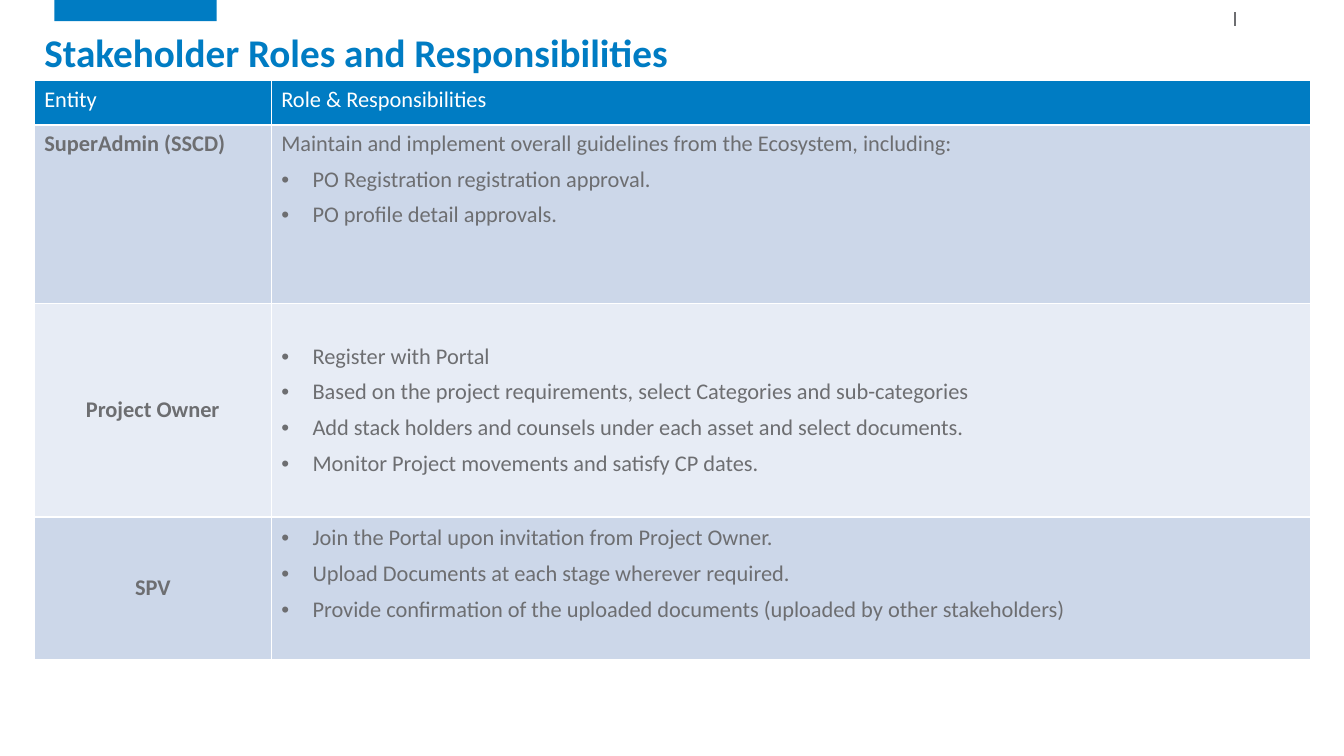
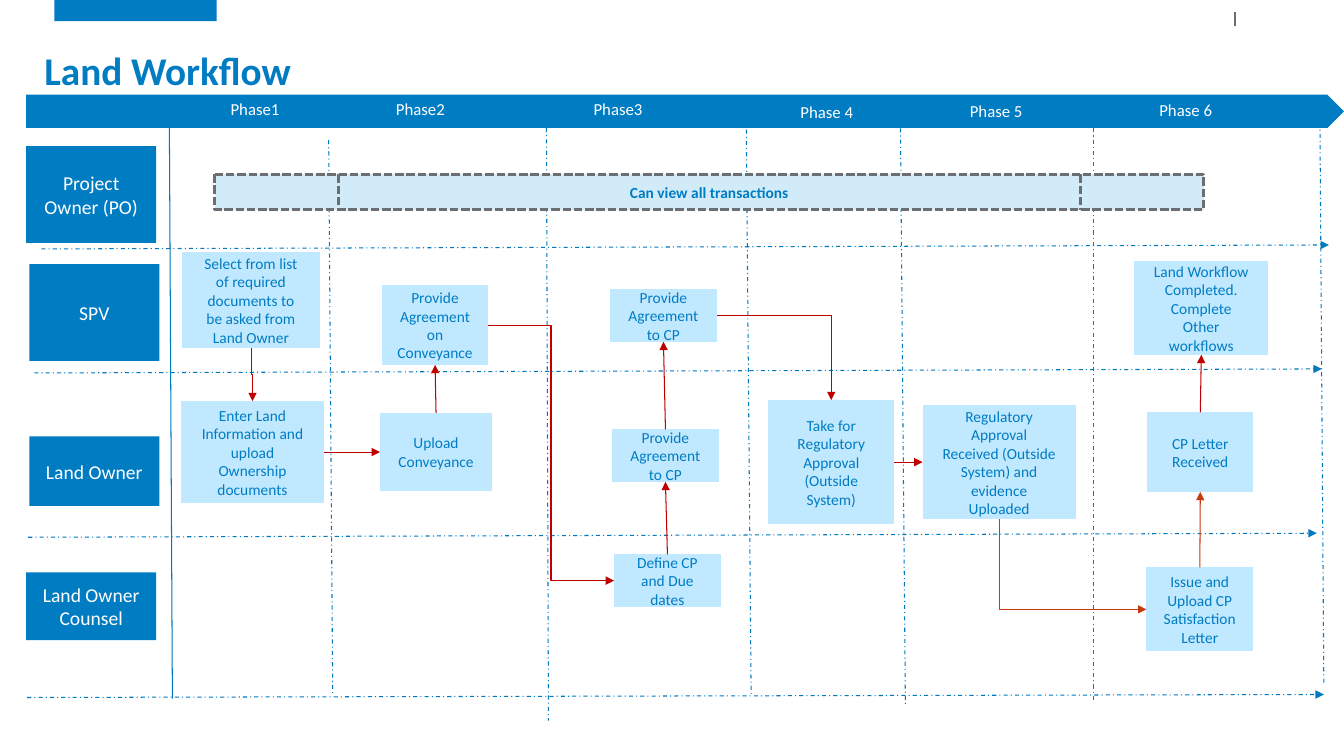
from pptx import Presentation
from pptx import util as u
from pptx.dml.color import RGBColor
from pptx.enum import dml, shapes, text
from pptx.oxml.ns import qn
from lxml import etree

COLORS = {"blue": "007CC3", "rule": "0079BF", "gray": "6D6E71", "white": "FFFFFF",
          "odd": "CCD7E9", "even": "E7ECF5", "step": "C0E8FF", "view": "D1ECF8",
          "red": "C00000", "rust": "C73A0D"}
FONT = "Calibri"
RECT = shapes.MSO_SHAPE.RECTANGLE
PROCESS = shapes.MSO_SHAPE.FLOWCHART_PREDEFINED_PROCESS
STRAIGHT, ELBOW = shapes.MSO_CONNECTOR.STRAIGHT, shapes.MSO_CONNECTOR.ELBOW
DASH_DOT, SHORT_DASH = dml.MSO_LINE.DASH_DOT, dml.MSO_LINE.SQUARE_DOT
MIDDLE, CENTER = text.MSO_ANCHOR.MIDDLE, text.PP_ALIGN.CENTER
TOP, LEFT, BOTTOM, RIGHT = range(4)

ROLE_HEADER = ("Entity", "Role & Responsibilities")
ROLES = [
    {"entity": "SuperAdmin (SSCD)", "height": 1.77, "centered": False, "space_below": 0.05,
     "intro": ["Maintain and implement overall guidelines from the Ecosystem, including:"],
     "duties": ["PO Registration registration approval.", "PO profile detail approvals."]},
    {"entity": "Project Owner", "height": 2.12, "centered": True, "space_below": 0.05,
     "intro": [],
     "duties": ["Register with Portal",
                "Based on the project requirements, select Categories and sub-categories",
                "Add stack holders and counsels under each asset and select documents.",
                "Monitor Project movements and satisfy CP dates."]},
    {"entity": "SPV", "height": 1.41, "centered": True, "space_below": 0.33,
     "intro": [],
     "duties": ["Join the Portal upon invitation from Project Owner.",
                "Upload Documents at each stage wherever required.",
                "Provide confirmation of the uploaded documents (uploaded by other stakeholders)"]},
]
ROLE_WIDTHS = (2.35, 10.31)
HEADER_HEIGHT = 0.44

PHASES = [("Phase1", 2.04, 0.99), ("Phase2", 3.68, 0.99), ("Phase3", 5.64, 0.99),
          ("Phase 4", 7.71, 1.02), ("Phase 5", 9.39, 1.01), ("Phase 6", 11.27, 1)]
OWNERS = [("Project Owner (PO)", 0.26, 1.45, 1.29, 0.96), ("SPV", 0.29, 2.62, 1.29, 0.96),
          ("Land Owner", 0.29, 4.33, 1.29, 0.69),
          ("Land Owner Counsel", 0.26, 5.68, 1.29, 0.67)]
LANE_RULES = [(0.41, 2.47, 13.18, 2.43), (0.34, 3.7, 13.11, 3.66),
              (0.28, 5.33, 13.06, 5.29), (0.27, 6.92, 13.13, 6.89)]
PHASE_RULES = [(3.26, 1.39, 3.3, 6.9), (5.42, 1.27, 5.44, 7.15), (7.4, 1.06, 7.45, 6.9),
               (8.93, 1.16, 8.98, 7.01), (10.85, 1.16, 10.85, 6.96),
               (13.09, 0.99, 13.13, 6.79)]
OWNER_RULE = (1.68, 1.27, 1.71, 6.93)
STEPS = {
    "select": ("Select from list of required documents to be asked from Land Owner",
               1.81, 2.5, 1.36, 0.95),
    "enter": ("Enter Land Information and upload Ownership documents", 1.8, 3.98, 1.41, 1.01),
    "upload": ("Upload Conveyance", 3.77, 4.1, 1.11, 0.77),
    "conveyance": ("Provide Agreement on Conveyance", 3.79, 2.83, 1.05, 0.79),
    "define": ("Define CP and Due dates", 6.09, 5.5, 1.06, 0.52),
    "owner_cp": ("Provide Agreement to CP", 6.07, 4.26, 1.06, 0.52),
    "spv_cp": ("Provide Agreement to CP", 6.05, 2.87, 1.06, 0.52),
    "take": ("Take for Regulatory Approval (Outside System)", 7.62, 3.97, 1.25, 1.23),
    "received": ("Regulatory Approval Received (Outside System) and evidence Uploaded",
                 9.15, 4.02, 1.52, 1.13),
    "issue": ("Issue and Upload CP Satisfaction Letter", 11.37, 5.63, 1.06, 0.83),
    "letter": ("CP Letter Received", 11.38, 4.09, 1.05, 0.79),
    "done": ("Land Workflow Completed. Complete Other workflows", 11.25, 2.59, 1.33, 0.93),
}
FLOWS = [
    ("select", BOTTOM, "enter", TOP, "bentConnector3", "red"),
    ("enter", RIGHT, "upload", LEFT, "line", "red"),
    ("upload", TOP, "conveyance", BOTTOM, "line", "red"),
    ("conveyance", RIGHT, "define", LEFT, "bentConnector3", "red"),
    ("define", TOP, "owner_cp", BOTTOM, "line", "red"),
    ("owner_cp", TOP, "spv_cp", BOTTOM, "line", "red"),
    ("spv_cp", RIGHT, "take", TOP, "bentConnector2", "red"),
    ("take", RIGHT, "received", LEFT, "line", "red"),
    ("received", BOTTOM, "issue", LEFT, "bentConnector2", "rust"),
    ("issue", TOP, "letter", BOTTOM, "line", "rust"),
    ("letter", TOP, "done", BOTTOM, "line", "red"),
]


def rgb(name):
    return RGBColor.from_string(COLORS[name])


def style(paragraph, size, color, bold=False):
    font = paragraph.font
    font.name, font.size, font.bold = FONT, u.Pt(size), bold
    font.color.rgb = rgb(color)


def add_box(slide, kind, box, fill, label="", size=14, color="white", bold=False, inset=None):
    shape = slide.shapes.add_shape(kind, *map(u.Inches, box))
    shape.shadow.inherit = False
    shape.fill.solid()
    shape.fill.fore_color.rgb = rgb(fill)
    shape.line.fill.background()
    if label:
        frame = shape.text_frame
        frame.word_wrap, frame.vertical_anchor = True, MIDDLE
        if inset is not None:
            frame.margin_left = frame.margin_right = u.Inches(inset)
            frame.margin_top = frame.margin_bottom = u.Inches(inset)
        frame.text = label
        frame.paragraphs[0].alignment = CENTER
        style(frame.paragraphs[0], size, color, bold)
    return shape


def finish_line(connector, color, width=0.75, dash=None, arrow=False):
    connector.line.color.rgb = rgb(color)
    connector.line.width = u.Pt(width)
    if dash:
        connector.line.dash_style = dash
    properties = connector.element.spPr
    if arrow:
        etree.SubElement(properties.find(qn("a:ln")), qn("a:tailEnd"), type="triangle")
    etree.SubElement(properties, qn("a:effectLst"))


def add_rule(slide, ends, color, **look):
    rule = slide.shapes.add_connector(STRAIGHT, *map(u.Inches, ends))
    finish_line(rule, color, **look)
    return rule


def start_downward(connector):
    width, height = connector.width, connector.height
    shift = (width - height) // 2
    connector.left, connector.top = connector.left + shift, connector.top - shift
    connector.width, connector.height = height, width
    frame = connector.element.spPr.find(qn("a:xfrm"))
    frame.set("rot", "16200000")
    frame.set("flipH", "1")


def add_flow(slide, boxes, source, exit_side, target, entry_side, route, color):
    flow = slide.shapes.add_connector(STRAIGHT if route == "line" else ELBOW, 0, 0, 0, 0)
    flow.begin_connect(boxes[source], exit_side)
    flow.end_connect(boxes[target], entry_side)
    if route != "line":
        flow.element.spPr.find(qn("a:prstGeom")).set("prst", route)
        if exit_side == BOTTOM:
            start_downward(flow)
    finish_line(flow, color, arrow=True)


def add_titled_slide(layout, heading, height):
    slide = deck.slides.add_slide(layout)
    title = slide.shapes.title
    title.left, title.top = u.Inches(0.34), u.Inches(0.21)
    title.width, title.height = u.Inches(12.66), u.Inches(height)
    frame = title.text_frame
    frame.text = heading
    frame.word_wrap, frame.auto_size = True, text.MSO_AUTO_SIZE.NONE
    frame.vertical_anchor = text.MSO_ANCHOR.BOTTOM
    paragraph = frame.paragraphs[0]
    paragraph.alignment, paragraph.line_spacing = text.PP_ALIGN.LEFT, 0.9
    style(paragraph, 28, "blue", True)
    return slide


def fill_cell(cell, fill, lines, color, bold=False):
    cell.fill.solid()
    cell.fill.fore_color.rgb = rgb(fill)
    cell.text = "\n".join(lines)
    for paragraph in cell.text_frame.paragraphs:
        style(paragraph, 16, color, bold)


def add_bullet(paragraph):
    properties = paragraph._p.get_or_add_pPr()
    properties.set("marL", str(u.Inches(0.31)))
    properties.set("indent", str(-u.Inches(0.31)))
    etree.SubElement(properties, qn("a:buFont"), typeface="Arial")
    etree.SubElement(properties, qn("a:buChar"), char="•")


def add_roles(slide):
    heights = [HEADER_HEIGHT] + [role["height"] for role in ROLES]
    area = (0.34, 0.8, sum(ROLE_WIDTHS), sum(heights))
    table = slide.shapes.add_table(len(heights), 2, *map(u.Inches, area)).table
    for column, width in zip(table.columns, ROLE_WIDTHS):
        column.width = u.Inches(width)
    for row, height in zip(table.rows, heights):
        row.height = u.Inches(height)
    for column, heading in enumerate(ROLE_HEADER):
        fill_cell(table.cell(0, column), "blue", [heading], "white")
    for number, role in enumerate(ROLES, 1):
        fill = "odd" if number % 2 else "even"
        entity, duties = table.cell(number, 0), table.cell(number, 1)
        fill_cell(entity, fill, [role["entity"]], "gray", True)
        fill_cell(duties, fill, role["intro"] + role["duties"], "gray")
        duties.margin_bottom = u.Inches(role["space_below"])
        if role["centered"]:
            entity.vertical_anchor = duties.vertical_anchor = MIDDLE
            entity.text_frame.paragraphs[0].alignment = CENTER
        for position, paragraph in enumerate(duties.text_frame.paragraphs):
            paragraph.space_before = u.Pt(6)
            if position >= len(role["intro"]):
                add_bullet(paragraph)


def add_workflow(slide):
    add_box(slide, shapes.MSO_SHAPE.PENTAGON, (0.26, 0.94, 13.07, 0.33), "blue")
    for ends in LANE_RULES:
        add_rule(slide, ends, "rule", dash=DASH_DOT, arrow=True)
    for ends in PHASE_RULES:
        add_rule(slide, ends, "rule", dash=DASH_DOT)
    add_rule(slide, OWNER_RULE, "rule")
    for phase, left, top in PHASES:
        add_box(slide, RECT, (left, top, 0.98, 0.18), "blue", phase, 12)
    for owner, *box in OWNERS:
        add_box(slide, RECT, box, "blue", owner)
    boxes = {key: add_box(slide, PROCESS, box, "step", label, 11, "blue", inset=0)
             for key, (label, *box) in STEPS.items()}
    for flow in FLOWS:
        add_flow(slide, boxes, *flow)
    view = add_box(slide, PROCESS, (2.13, 1.73, 9.81, 0.35), "view",
                   "Can view all transactions", 11, "blue", True, 0)
    view.line.color.rgb = rgb("gray")
    view.line.width, view.line.dash_style = u.Pt(2), SHORT_DASH


deck = Presentation()
deck.slide_width, deck.slide_height = u.Inches(13.33), u.Inches(7.5)
title_only = deck.slide_layouts[5]

roles_slide = add_titled_slide(title_only, "Stakeholder Roles and Responsibilities", 0.59)
band = add_box(roles_slide, RECT, (0.54, 0, 1.61, 0.21), "blue")
tick = add_rule(roles_slide, (12.25, 0.12, 12.25, 0.26), "gray", width=1)
for shared in (band, tick):
    title_only.element.cSld.spTree.append(shared.element)
add_roles(roles_slide)

workflow_slide = add_titled_slide(title_only, "Land Workflow", 0.77)
add_workflow(workflow_slide)

deck.save("out.pptx")
